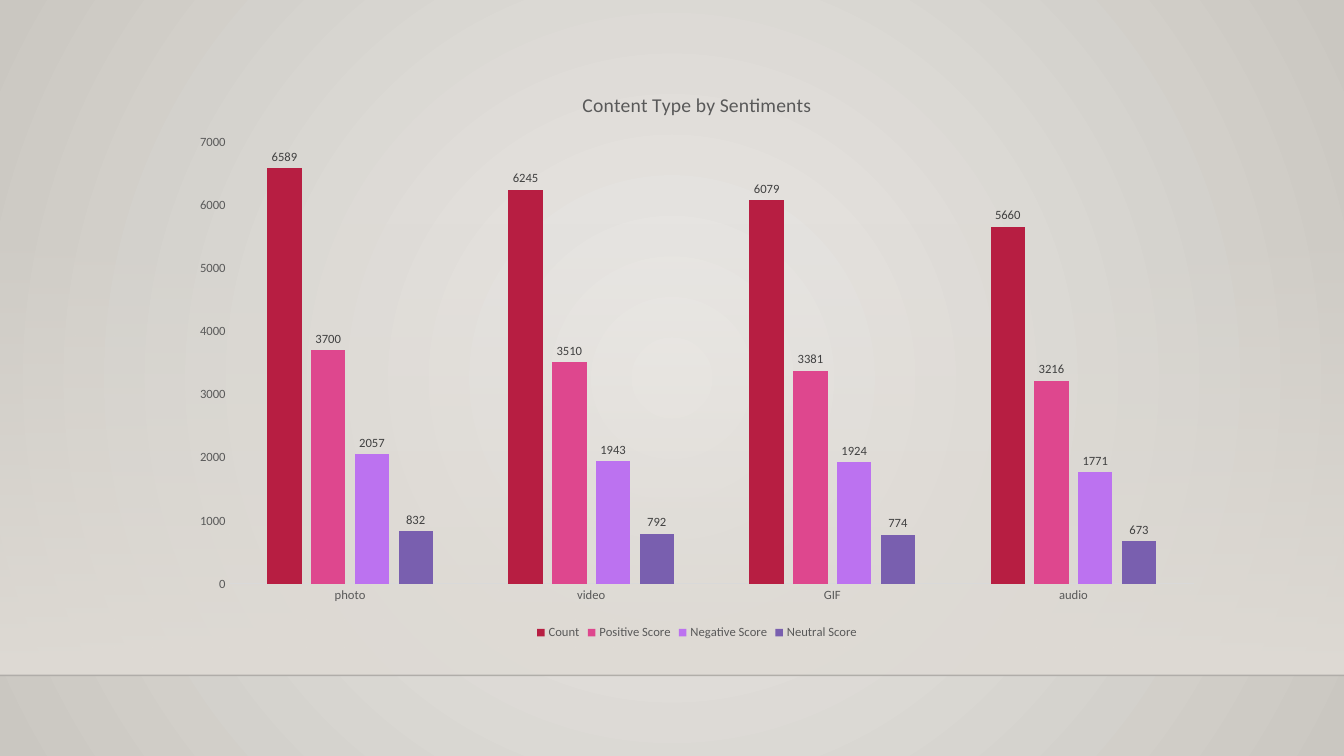
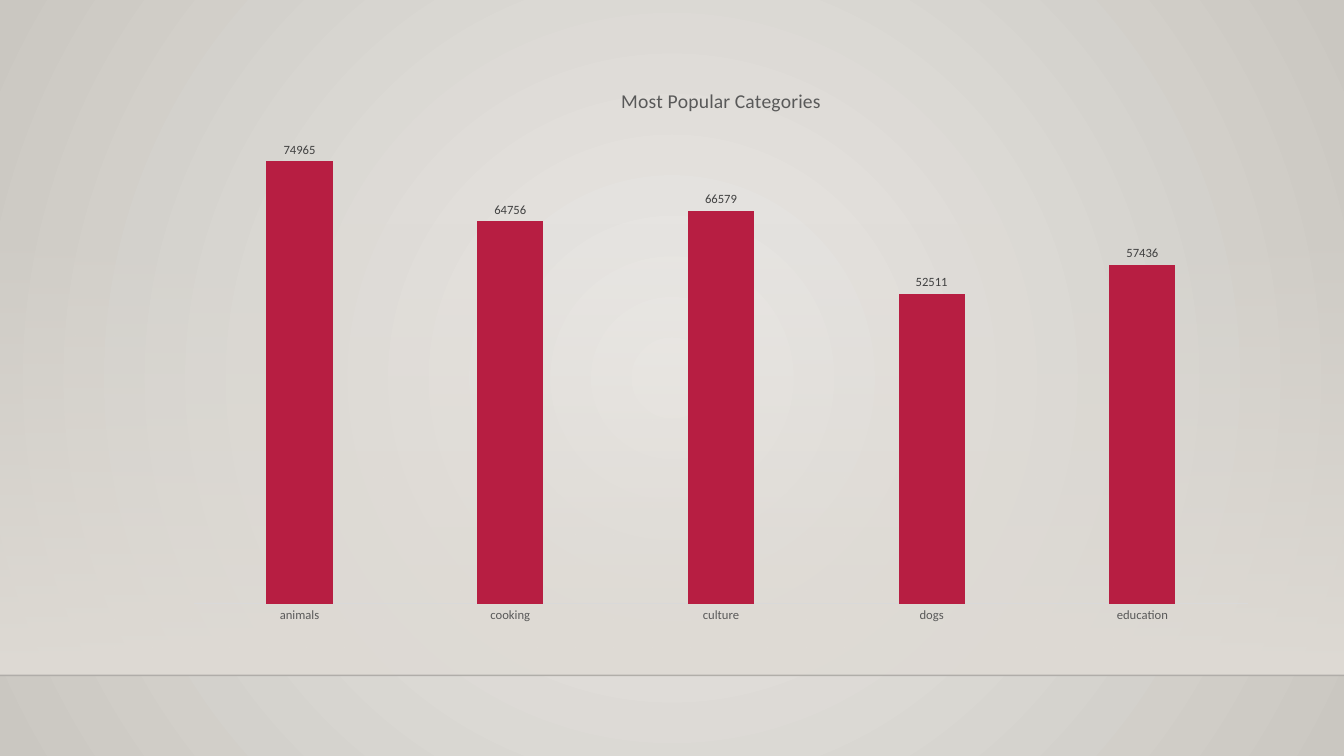
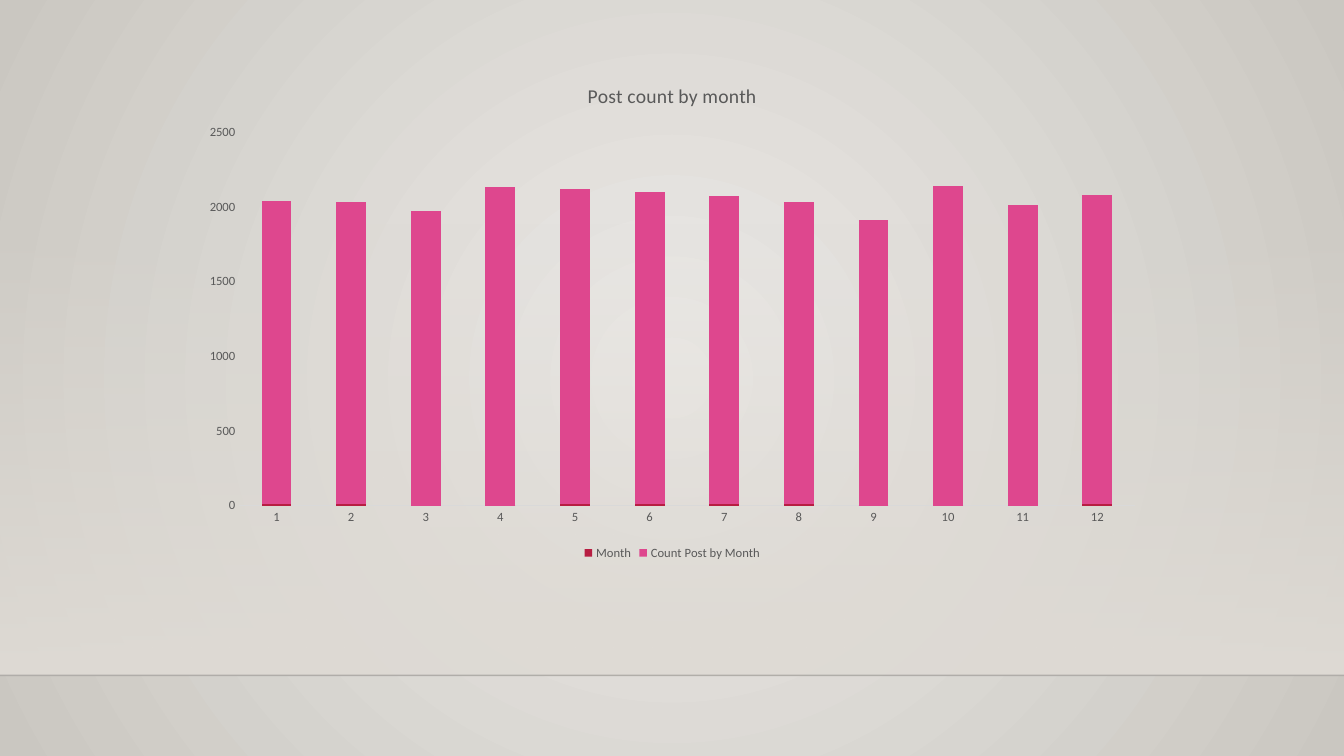
"""Build three slides of column charts on post sentiment, categories and months."""
from pptx import Presentation
from pptx import util as u
from pptx.chart.data import CategoryChartData
from pptx.dml.color import RGBColor
from pptx.enum import chart as ch
from pptx.enum import shapes
from pptx.oxml import parse_xml
from pptx.oxml.ns import nsdecls, qn

FONT = "Calibri"
CRIMSON = RGBColor(0xB7, 0x1E, 0x42)
PINK = RGBColor(0xDE, 0x47, 0x8E)
VIOLET = RGBColor(0xBC, 0x72, 0xF0)
PURPLE = RGBColor(0x79, 0x5F, 0xAF)
SERIES_COLORS = (CRIMSON, PINK, VIOLET, PURPLE)
BLACK = RGBColor(0x00, 0x00, 0x00)
FLOOR_EDGE = RGBColor(0x00, 0x00, 0x01)
LABEL_GREY = RGBColor(0x40, 0x40, 0x40)
TEXT_GREY = RGBColor(0x59, 0x59, 0x59)
AXIS_GREY = RGBColor(0xD9, 0xD9, 0xD9)
WALL_LIGHT = RGBColor(0xEC, 0xEA, 0xE7)
WALL_DARK = RGBColor(0xCA, 0xC7, 0xC1)
FLOOR = RGBColor(0xDF, 0xDB, 0xD5)

WIDTH, HEIGHT = u.Cm(33.87), u.Cm(19.05)
FLOOR_TOP, FLOOR_BOTTOM = u.Cm(5.61), u.Cm(17.02)
CENTRE_OUT = ('<a:path path="circle"><a:fillToRect l="50000" t="50000" '
              'r="50000" b="50000"/></a:path>')
DOWNWARD = '<a:lin ang="5400000" scaled="0"/>'

CHARTS = [
    {
        "title": "Content Type by Sentiments",
        "place": (4.52, 1.78, 26.09, 14.45),
        "categories": ["photo", "video", "GIF", "audio"],
        "series": {
            "Count": (6589, 6245, 6079, 5660),
            "Positive Score": (3700, 3510, 3381, 3216),
            "Negative Score": (2057, 1943, 1924, 1771),
            "Neutral Score": (832, 792, 774, 673),
        },
        "values_axis": True,
        "stacked": False,
    },
    {
        "title": "Most Popular Categories",
        "place": (4.34, 1.7, 27.66, 14.27),
        "categories": ["animals", "cooking", "culture", "dogs", "education"],
        "series": {"Series 1": (74965, 64756, 66579, 52511, 57436)},
        "values_axis": False,
        "stacked": False,
    },
    {
        "title": "Post count by month",
        "place": (4.8, 1.6, 24.28, 12.62),
        "categories": [str(month) for month in range(1, 13)],
        "series": {
            "Month": (10, 10, 0, 0, 10, 10, 10, 10, 0, 0, 0, 10),
            "Count Post by Month": (2030, 2020, 1970, 2130, 2110, 2090,
                                    2060, 2020, 1910, 2140, 2010, 2070),
        },
        "values_axis": True,
        "stacked": True,
    },
]


def set_font(font, size, color):
    font.name, font.size, font.bold = FONT, u.Pt(size), False
    font.color.rgb = color


def set_gradient(fill, properties, stops, direction):
    fill.solid()
    marks = "".join(
        f'<a:gs pos="{pos * 1000}"><a:srgbClr val="{color}">'
        f'<a:alpha val="{alpha * 1000}"/></a:srgbClr></a:gs>'
        for pos, color, alpha in stops)
    gradient = parse_xml(f'<a:gradFill {nsdecls("a")} rotWithShape="1">'
                         f'<a:gsLst>{marks}</a:gsLst>{direction}</a:gradFill>')
    properties.replace(properties.find(qn("a:solidFill")), gradient)


def paint_wall(master):
    fill = master.background.fill
    properties = master.element.find(".//" + qn("p:bgPr"))
    set_gradient(fill, properties,
                 [(0, WALL_LIGHT, 100), (100, WALL_DARK, 100)], CENTRE_OUT)


def add_floor(slide):
    floor = slide.shapes.add_shape(shapes.MSO_SHAPE.RECTANGLE, 0, FLOOR_TOP,
                                   WIDTH, FLOOR_BOTTOM - FLOOR_TOP)
    floor.shadow.inherit = False
    floor.line.fill.background()
    set_gradient(floor.fill, floor.element.spPr,
                 [(0, FLOOR, 0), (100, FLOOR, 100)], DOWNWARD)

    edge = slide.shapes.add_connector(shapes.MSO_CONNECTOR.STRAIGHT, 0,
                                      FLOOR_BOTTOM, WIDTH, FLOOR_BOTTOM)
    edge.line.width = u.Pt(1)
    edge.line.color.rgb = FLOOR_EDGE
    properties = edge.element.spPr
    properties.find(".//" + qn("a:srgbClr")).append(
        parse_xml(f'<a:alpha {nsdecls("a")} val="20000"/>'))
    properties.append(parse_xml(f'<a:effectLst {nsdecls("a")}/>'))


def style_axis(axis):
    axis.has_major_gridlines = False
    axis.major_tick_mark = axis.minor_tick_mark = ch.XL_TICK_MARK.NONE
    set_font(axis.tick_labels.font, 9, TEXT_GREY)


def add_columns(slide, content):
    data = CategoryChartData()
    data.categories = content["categories"]
    for name, values in content["series"].items():
        data.add_series(name, values)
    stacked = content["stacked"]
    kind = (ch.XL_CHART_TYPE.COLUMN_STACKED if stacked
            else ch.XL_CHART_TYPE.COLUMN_CLUSTERED)
    place = [u.Cm(length) for length in content["place"]]
    chart = slide.shapes.add_chart(kind, *place, data).chart
    set_font(chart.font, 10, BLACK)

    heading = chart.chart_title.text_frame
    heading.text = content["title"]
    set_font(heading.paragraphs[0].runs[0].font, 14, TEXT_GREY)
    chart.chart_title.include_in_layout = False

    style_axis(chart.category_axis)
    chart.category_axis.format.line.color.rgb = AXIS_GREY
    chart.category_axis.format.line.width = u.Pt(0.75)
    style_axis(chart.value_axis)
    chart.value_axis.format.line.fill.background()
    chart.value_axis.visible = content["values_axis"]

    chart.has_legend = len(content["series"]) > 1
    if chart.has_legend:
        chart.legend.position = ch.XL_LEGEND_POSITION.BOTTOM
        chart.legend.include_in_layout = False
        set_font(chart.legend.font, 9, TEXT_GREY)

    plot = chart.plots[0]
    plot.vary_by_categories = False
    plot.gap_width, plot.overlap = (150, 100) if stacked else (219, -27)
    for series, color in zip(plot.series, SERIES_COLORS):
        series.format.fill.solid()
        series.format.fill.fore_color.rgb = color
        if not stacked:
            labels = series.data_labels
            labels.show_value = True
            labels.position = ch.XL_LABEL_POSITION.OUTSIDE_END
            set_font(labels.font, 9, LABEL_GREY)


def main():
    deck = Presentation()
    deck.slide_width, deck.slide_height = WIDTH, HEIGHT
    paint_wall(deck.slide_master)
    for content in CHARTS:
        slide = deck.slides.add_slide(deck.slide_layouts[6])
        add_floor(slide)
        add_columns(slide, content)
    deck.save("out.pptx")


if __name__ == "__main__":
    main()
